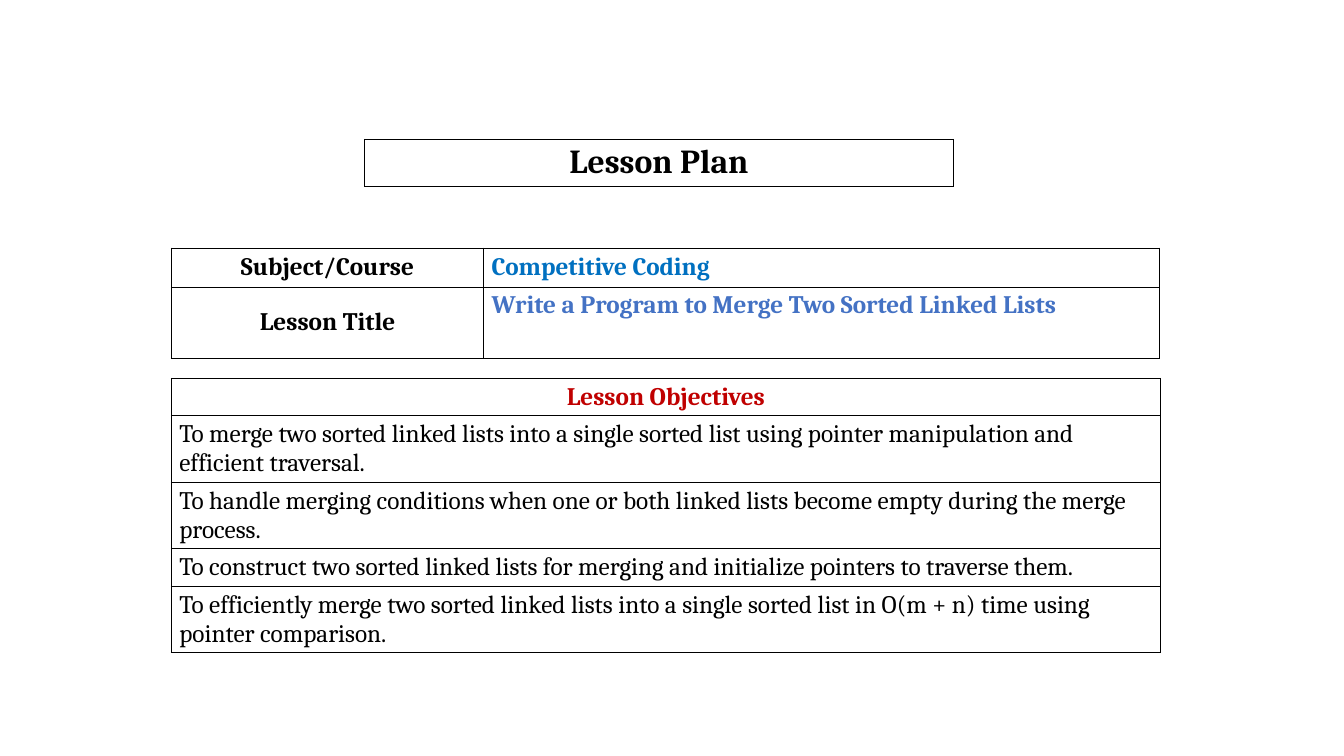
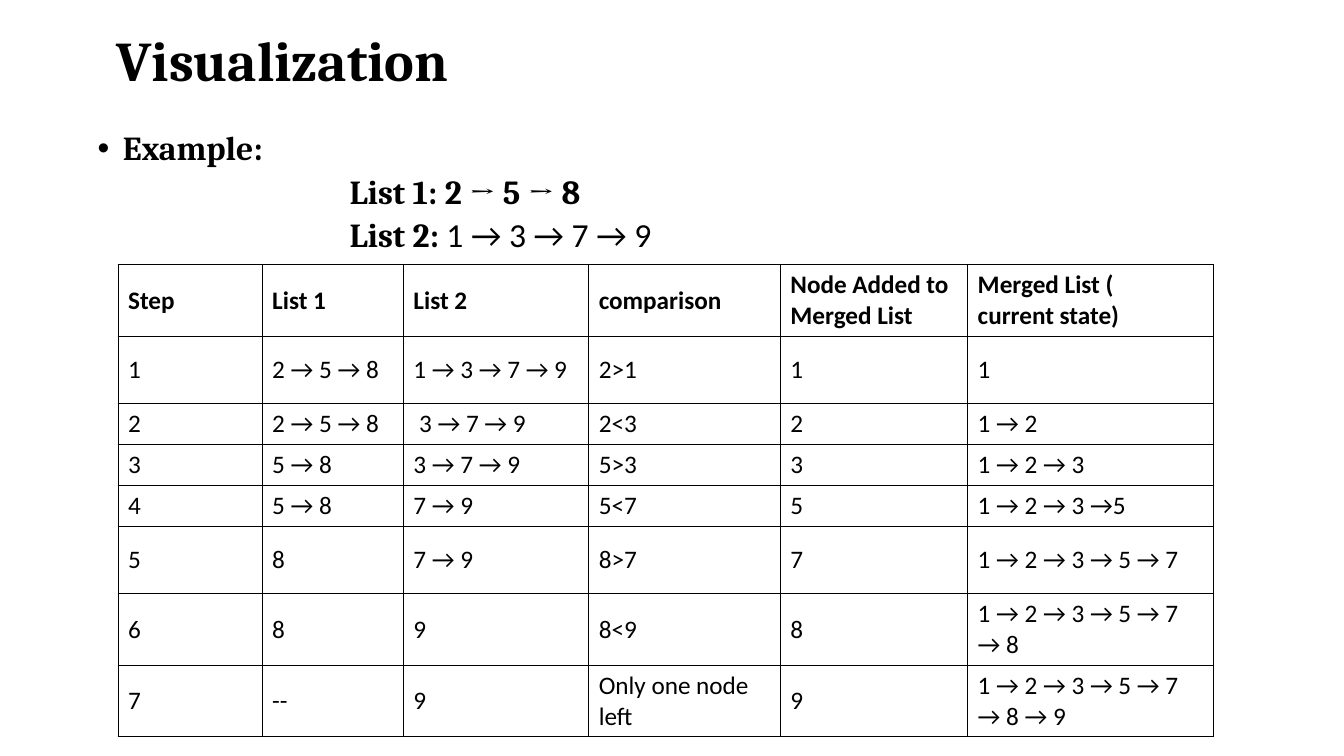
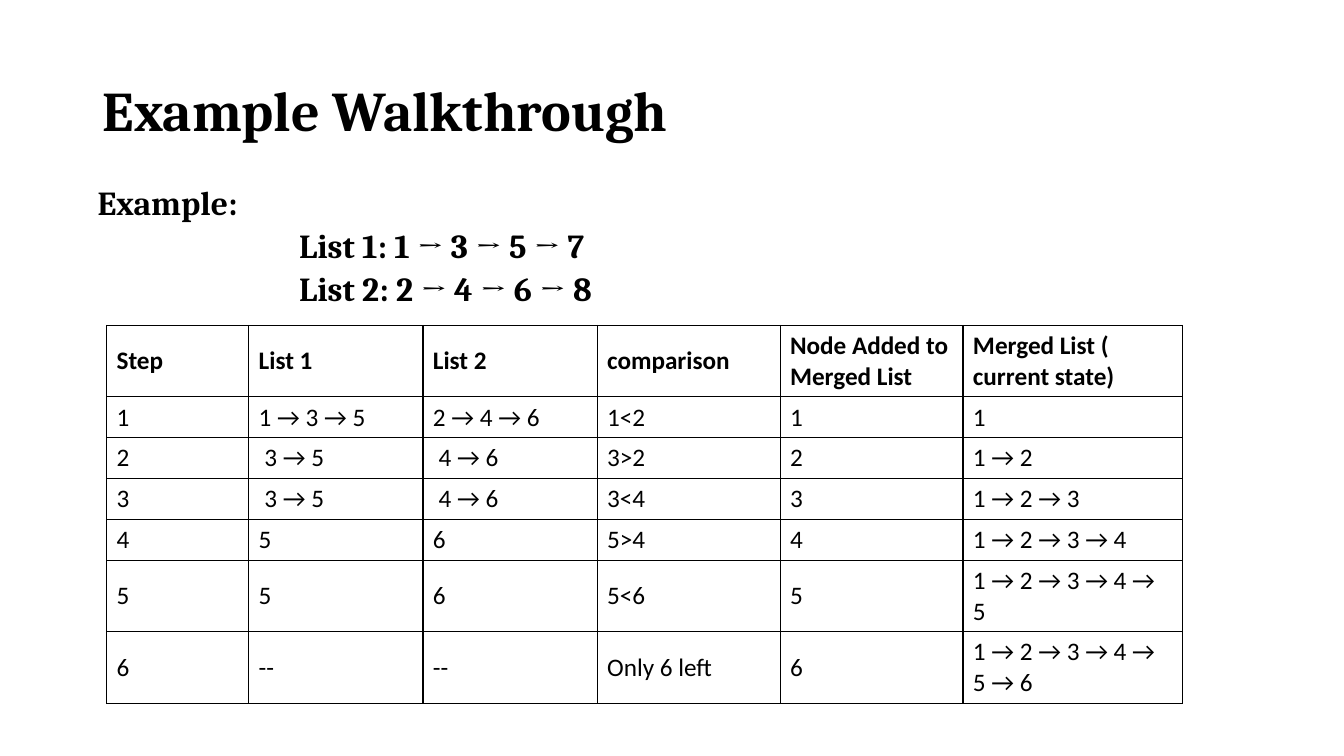
from lxml.etree import SubElement
from pptx import Presentation
from pptx.dml.color import RGBColor
from pptx.enum.text import MSO_ANCHOR as Anchor, MSO_AUTO_SIZE as AutoSize, PP_ALIGN as Align
from pptx.oxml.ns import qn
from pptx.util import Cm, Pt

BLACK = RGBColor(0x00, 0x00, 0x00)
WHITE = RGBColor(0xFF, 0xFF, 0xFF)
BLUE = RGBColor(0x00, 0x70, 0xC0)
SOFT_BLUE = RGBColor(0x44, 0x72, 0xC4)
RED = RGBColor(0xC0, 0x00, 0x00)

SERIF, SANS = "Cambria", "Calibri"
TITLE_ONLY, BLANK = 5, 6
ONE_LINE, TWO_LINES, TALL = 1.03, 1.8, 1.7  # trace row heights, cm
TRACE_HEADER = ["Step", "List 1", "List 2", "comparison",
                "Node Added to Merged List", "Merged List (\ncurrent state)"]


def style_font(font, name, size, bold=False, color=BLACK):
    font.name, font.size, font.bold = name, Pt(size), bold
    font.color.rgb = color


class Deck:
    """Holds the presentation, its style and the current slide."""

    def __init__(self):
        self.presentation = Presentation()
        self.presentation.slide_width = Cm(33.87)
        self.presentation.slide_height = Cm(19.05)
        self.slide = None

    def new_slide(self, layout):
        self.slide = self.presentation.slides.add_slide(
            self.presentation.slide_layouts[layout])

    def title(self, text, left, top, width, height):
        title = self.slide.shapes.title
        title.left, title.top, title.width, title.height = map(Cm, (left, top, width, height))
        frame = title.text_frame
        frame.auto_size, frame.vertical_anchor = AutoSize.NONE, Anchor.MIDDLE
        paragraph = frame.paragraphs[0]
        paragraph.text = text
        paragraph.alignment, paragraph.line_spacing = Align.LEFT, 0.9
        style_font(paragraph.font, SERIF, 40, bold=True)

    def example(self, top, lists, indent, bullet=False):
        """Heading 'Example:' with indented lists, each a (label, nodes, nodes font)."""
        box = self.slide.shapes.add_textbox(Cm(2.21), Cm(top), Cm(29.34), Cm(3.6))
        frame = box.text_frame
        frame.word_wrap = True
        heading = frame.paragraphs[0]
        heading.text = "Example:"
        if bullet:
            properties = heading._p.get_or_add_pPr()
            properties.set("marL", str(Cm(0.64)))
            properties.set("indent", str(-Cm(0.64)))
            SubElement(properties, qn("a:buFont")).set("typeface", "Arial")
            SubElement(properties, qn("a:buChar")).set("char", "•")
        for label, nodes, nodes_font in lists:
            paragraph = frame.add_paragraph()
            paragraph._p.get_or_add_pPr().set("marL", str(Cm(indent)))
            paragraph.space_before = Pt(5)
            for text, name in ((label + " ", SERIF), (nodes, nodes_font)):
                run = paragraph.add_run()
                run.text = text
                style_font(run.font, name, 24, bold=name == SERIF)
        for paragraph in frame.paragraphs:
            paragraph.alignment, paragraph.line_spacing = Align.JUSTIFY, 0.9
        style_font(heading.font, SERIF, 24, bold=True)

    def table(self, left, top, columns, rows, cells, border=1, margins=(0.25, 0.13)):
        """Bordered grid; returns the table with its text still to be styled."""
        frame = self.slide.shapes.add_table(
            len(rows), len(columns), Cm(left), Cm(top), Cm(sum(columns)), Cm(sum(rows)))
        table = frame.table
        table.first_row = table.horz_banding = False
        for column, width in zip(table.columns, columns):
            column.width = Cm(width)
        for row, height, texts in zip(table.rows, rows, cells):
            row.height = Cm(height)
            for cell, text in zip(row.cells, texts):
                cell.text_frame.paragraphs[0].text = text
                cell.vertical_anchor = Anchor.MIDDLE
                cell.margin_left = cell.margin_right = Cm(margins[0])
                cell.margin_top = cell.margin_bottom = Cm(margins[1])
                self.outline(cell, border)
                cell.fill.solid()
                cell.fill.fore_color.rgb = WHITE
        return table

    def outline(self, cell, width):
        properties = cell._tc.get_or_add_tcPr()
        for side in ("lnL", "lnR", "lnT", "lnB"):
            line = SubElement(properties, qn(f"a:{side}"), w=str(Pt(width)))
            fill = SubElement(line, qn("a:solidFill"))
            SubElement(fill, qn("a:srgbClr"), val=str(BLACK))

    def plan_table(self, left, top, columns, rows, cells):
        return self.table(left, top, columns, rows, cells, border=0.77, margins=(0.2, 0.1))

    def style_cell(self, cell, size=18, bold=True, color=BLACK, align=Align.CENTER):
        paragraph = cell.text_frame.paragraphs[0]
        paragraph.alignment = align
        style_font(paragraph.font, SERIF, size, bold, color)

    def trace_table(self, left, top, columns, rows, steps):
        """Merge trace: a bold header, then numbered steps."""
        numbered = [[str(number), *step] for number, step in enumerate(steps, 1)]
        table = self.table(left, top, columns, rows, [TRACE_HEADER, *numbered])
        for index, row in enumerate(table.rows):
            for cell in row.cells:
                style_font(cell.text_frame.paragraphs[0].font, SANS, 18, bold=index == 0)


def lesson_plan(deck):
    deck.new_slide(BLANK)
    heading = deck.plan_table(9.19, 3.51, [14.83], [1.19], [["Lesson Plan"]])
    deck.style_cell(heading.cell(0, 0), size=24)

    # Subject and title
    subject = deck.plan_table(4.32, 6.25, [7.87, 17.04], [0.99, 1.78], [
        ["Subject/Course", "Competitive Coding"],
        ["Lesson Title", "Write a Program to Merge Two Sorted Linked Lists"]])
    for row, color in enumerate((BLUE, SOFT_BLUE)):
        deck.style_cell(subject.cell(row, 0))
        deck.style_cell(subject.cell(row, 1), color=color, align=Align.LEFT)
    subject.cell(1, 1).vertical_anchor = Anchor.TOP

    # Objectives
    objectives = [
        "Lesson Objectives",
        "To merge two sorted linked lists into a single sorted list using pointer "
        "manipulation and efficient traversal.",
        "To handle merging conditions when one or both linked lists become empty "
        "during the merge process.",
        "To construct two sorted linked lists for merging and initialize pointers "
        "to traverse them.",
        "To efficiently merge two sorted linked lists into a single sorted list in "
        "O(m + n) time using pointer comparison."]
    table = deck.plan_table(4.32, 9.53, [24.92], [0.94, 1.68, 1.68, 0.94, 1.68],
                            [[text] for text in objectives])
    deck.style_cell(table.cell(0, 0), color=RED)
    for row in range(1, len(objectives)):
        deck.style_cell(table.cell(row, 0), bold=False, align=Align.LEFT)


def visualization(deck):
    deck.new_slide(TITLE_ONLY)
    deck.title("Visualization", 2.69, 0.43, 28.85, 2.34)
    deck.example(3.2, [("List 1:", "2 → 5 → 8", SERIF),
                       ("List 2:", "1 → 3 → 7 → 9", SANS)], indent=6.35, bullet=True)
    deck.trace_table(
        2.98, 6.67, [3.63, 3.56, 4.67, 4.83, 4.72, 6.2],
        [TWO_LINES, TALL, ONE_LINE, ONE_LINE, ONE_LINE, TALL, TWO_LINES, TWO_LINES], [
            ["2 → 5 → 8", "1 → 3 → 7 → 9", "2>1", "1", "1"],
            ["2 → 5 → 8", " 3 → 7 → 9", "2<3", "2", "1 → 2"],
            ["5 → 8", "3 → 7 → 9", "5>3", "3", "1 → 2 → 3"],
            ["5 → 8", "7 → 9", "5<7", "5", "1 → 2 → 3 →5"],
            ["8", "7 → 9", "8>7", "7", "1 → 2 → 3 → 5 → 7"],
            ["8", "9", "8<9", "8", "1 → 2 → 3 → 5 → 7 → 8"],
            ["--", "9", "Only one node left", "9", "1 → 2 → 3 → 5 → 7 → 8 → 9"]])


def walkthrough(deck):
    deck.new_slide(TITLE_ONLY)
    deck.title("Example Walkthrough", 2.34, 1.02, 29.21, 3.68)
    deck.example(4.57, [("List 1:", "1 → 3 → 5 → 7", SERIF),
                        ("List 2:", "2 → 4 → 6 → 8", SERIF)], indent=5.08)
    deck.trace_table(
        2.69, 8.2, [3.58, 4.39, 4.39, 4.61, 4.61, 5.54],
        [TWO_LINES, *[ONE_LINE] * 4, TWO_LINES, TWO_LINES], [
            ["1 → 3 → 5", "2 → 4 → 6", "1<2", "1", "1"],
            [" 3 → 5", " 4 → 6", "3>2", "2", "1 → 2"],
            [" 3 → 5", " 4 → 6", "3<4", "3", "1 → 2 → 3"],
            ["5", "6", "5>4", "4", "1 → 2 → 3 → 4"],
            ["5", "6", "5<6", "5", "1 → 2 → 3 → 4 → 5"],
            ["--", "--", "Only 6 left", "6", "1 → 2 → 3 → 4 → 5 → 6"]])


def main():
    deck = Deck()
    lesson_plan(deck)
    visualization(deck)
    walkthrough(deck)
    deck.presentation.save("out.pptx")


if __name__ == "__main__":
    main()
